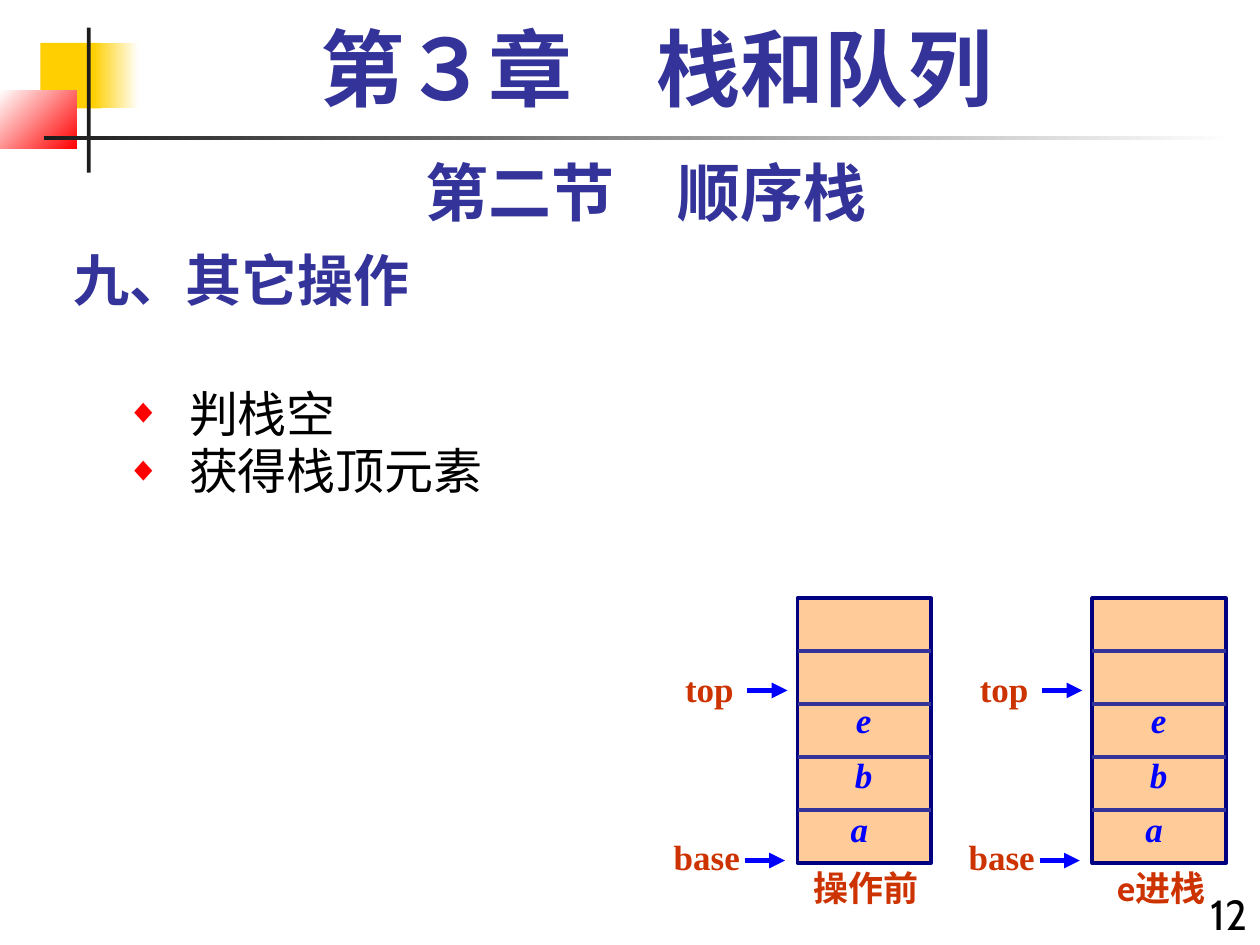
from dataclasses import dataclass

from lxml import etree
from pptx import Presentation
from pptx import util as u
from pptx.dml import color
from pptx.enum import shapes, text
from pptx.oxml import ns

Inches = u.Inches


@dataclass(frozen=True)
class Theme:
    """Colours, fonts and type sizes of the deck."""
    navy: str = "333399"
    frame: str = "000080"
    blue: str = "0000FF"
    rust: str = "CC3300"
    peach: str = "FFCC99"
    gold: str = "FFCF01"
    red: str = "FF0000"
    ink: str = "1C1C1C"
    black: str = "000000"
    white: str = "FFFFFF"
    serif: str = "Times New Roman"
    sans: str = "Cabin"
    han: str = "Noto Sans CJK SC"
    chapter: int = 48
    section: int = 36
    heading: int = 32
    bullet: int = 28
    number: int = 24
    label: int = 20


THEME = Theme()


def rgb(code):
    """Turn a hex code into a colour."""
    return color.RGBColor.from_string(code)


def sub(parent, tag, **attributes):
    """Append a DrawingML child element."""
    return etree.SubElement(parent, ns.qn(tag), **attributes)


def write(frame, lines, size, tint, face, bold=True, italic=False,
          align=text.PP_ALIGN.CENTER, anchor=text.MSO_ANCHOR.TOP, spacing=None, wrap=True):
    """Fill a text frame with evenly formatted paragraphs."""
    frame.text = "\n".join(lines)
    frame.word_wrap = wrap
    frame.auto_size = text.MSO_AUTO_SIZE.NONE
    frame.vertical_anchor = anchor
    for paragraph in frame.paragraphs:
        paragraph.alignment = align
        paragraph.space_before = u.Pt(0)
        paragraph.line_spacing = spacing
        font = paragraph.font
        font.size, font.name, font.bold, font.italic = u.Pt(size), face, bold, italic
        font.color.rgb = rgb(tint)
        sub(paragraph._p.pPr.find(ns.qn("a:defRPr")), "a:ea", typeface=THEME.han)


def place(shape, left, top, width, height):
    """Move a placeholder into its box."""
    shape.left, shape.top = Inches(left), Inches(top)
    shape.width, shape.height = Inches(width), Inches(height)


def add_text(parts, box, lines, size, tint, face, **options):
    """Add a text box in the given box."""
    write(parts.add_textbox(*map(Inches, box)).text_frame, lines, size, tint, face, **options)


def add_block(parts, box, start, end=None, angle=0):
    """Add a rectangle with a plain or gradient fill and no outline."""
    block = parts.add_shape(shapes.MSO_SHAPE.RECTANGLE, *map(Inches, box))
    block.shadow.inherit = False
    block.line.fill.background()
    if end is None:
        block.fill.solid()
        block.fill.fore_color.rgb = rgb(start)
    else:
        block.fill.gradient()
        block.fill.gradient_angle = angle
        for stop, tint, position in zip(block.fill.gradient_stops, (start, end), (0, 1)):
            stop.color.rgb = rgb(tint)
            stop.position = position
    return block


def add_rule(parts, left, right, y, tint, weight, arrow=False):
    """Add a horizontal line, with an arrowhead if asked."""
    rule = parts.add_connector(shapes.MSO_CONNECTOR.STRAIGHT,
                               Inches(left), Inches(y), Inches(right), Inches(y))
    rule.line.color.rgb = rgb(tint)
    rule.line.width = u.Pt(weight)
    if arrow:
        sub(rule.line._get_or_add_ln(), "a:tailEnd", type="triangle")
    sub(rule._element.spPr, "a:effectLst")


def draw_ornament(slide, left, top):
    """Draw the coloured blocks and bars of the header."""
    parts = slide.shapes
    add_block(parts, (left + 0.32, top + 0.34, 0.48, 0.52), THEME.gold)
    add_block(parts, (left + 0.74, top + 0.34, 0.36, 0.52), THEME.gold, THEME.white)
    add_block(parts, (left, top + 0.72, 0.61, 0.46), THEME.white, THEME.red, 315)
    add_block(parts, (left + 0.69, top + 0.22, 0.03, 1.15), THEME.ink)
    add_block(parts, (left + 0.35, top + 1.08, 9.45, 0.03), THEME.ink, THEME.white)


def write_headings(slide):
    """Write the chapter, section and topic headings."""
    add_text(slide.shapes, (0.67, 0.17, 9.08, 0.83), ["第３章\u3000栈和队列".replace("\u3000", "　")],
             THEME.chapter, THEME.navy, THEME.serif, spacing=0.9)
    add_text(slide.shapes, (0.5, 1.17, 9.25, 0.7), ["第二节　顺序栈"],
             THEME.section, THEME.navy, THEME.sans)
    topic = slide.shapes.title
    place(topic, 0.48, 1.78, 6.25, 0.75)
    write(topic.text_frame, ["九、其它操作"], THEME.heading, THEME.navy, THEME.han,
          align=text.PP_ALIGN.LEFT, anchor=text.MSO_ANCHOR.BOTTOM)


def write_operations(body, box):
    """List the operations with red diamond bullets."""
    place(body, *box)
    write(body.text_frame, ["判栈空", "获得栈顶元素"], THEME.bullet, THEME.black, THEME.han,
          bold=False, align=text.PP_ALIGN.LEFT, spacing=u.Pt(33))
    for paragraph in body.text_frame.paragraphs:
        properties = paragraph._p.pPr
        properties.set("marL", str(Inches(0.5)))
        properties.set("indent", str(-Inches(0.5)))
        tint = etree.Element(ns.qn("a:buClr"))
        sub(tint, "a:srgbClr", val=THEME.red)
        size = etree.Element(ns.qn("a:buSzPct"), val="70000")
        mark = etree.Element(ns.qn("a:buChar"), char="◆")
        for bullet_part in (tint, size, mark):
            properties.find(ns.qn("a:defRPr")).addprevious(bullet_part)


def draw_stack(slide, left, top, caption):
    """Draw a five-cell stack with its pointers and caption."""
    parts = slide.shapes.add_group_shape().shapes
    width, height, cells = 1.06, 2.1, 5
    pointers = (("top", -0.99, 0.5, 0.58, -0.4, 0.73),
                ("base", -1.08, 1.83, 0.72, -0.42, 2.08))
    for name, x, y, label_width, arrow_x, arrow_y in pointers:
        add_rule(parts, left + arrow_x, left + arrow_x + 0.32, top + arrow_y,
                 THEME.blue, 3, arrow=True)
        add_text(parts, (left + x, top + y, label_width, 0.44), [name],
                 THEME.label, THEME.rust, THEME.serif, wrap=False)
    column = add_block(parts, (left, top, width, height), THEME.peach)
    column.line.color.rgb = rgb(THEME.frame)
    column.line.width = u.Pt(2.25)
    for cell in range(1, cells):
        add_rule(parts, left, left + width, top + cell * height / cells, THEME.navy, 2.25)
    add_text(parts, (left + 0.25, top - 0.08, 0.55, 2.12), ["e", "b", "a "],
             THEME.label, THEME.blue, THEME.serif, italic=True,
             anchor=text.MSO_ANCHOR.BOTTOM, spacing=u.Pt(31))
    add_text(parts, (left - 0.08, top + 2.08, 1.25, 0.44), [caption],
             THEME.label, THEME.rust, THEME.sans)


def main():
    """Build and save the slide."""
    deck = Presentation()
    deck.slide_width, deck.slide_height = Inches(10), Inches(7.5)
    slide = deck.slides.add_slide(deck.slide_layouts[1])
    draw_ornament(slide, 0, 0)
    write_headings(slide)
    write_operations(slide.placeholders[1], (0.9, 3.0, 6.25, 1.1))
    for left, caption in ((8.67, "e进栈"), (6.33, "操作前")):
        draw_stack(slide, left, 4.75, caption)
    add_text(slide.shapes, (9.33, 7, 0.67, 0.59), ["12"], THEME.number, THEME.black,
             THEME.sans, bold=False, align=text.PP_ALIGN.RIGHT)
    deck.save("out.pptx")


if __name__ == "__main__":
    main()
